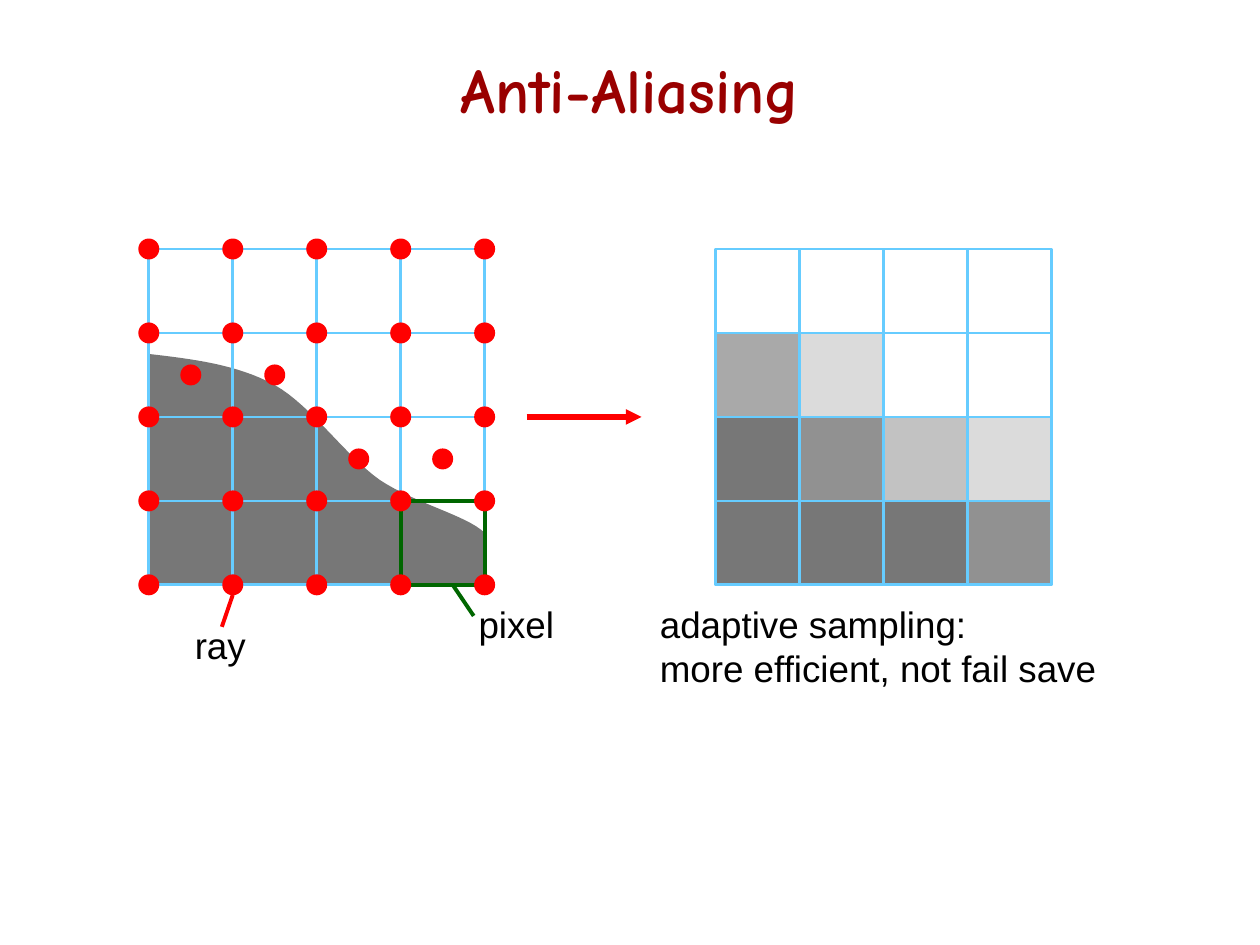
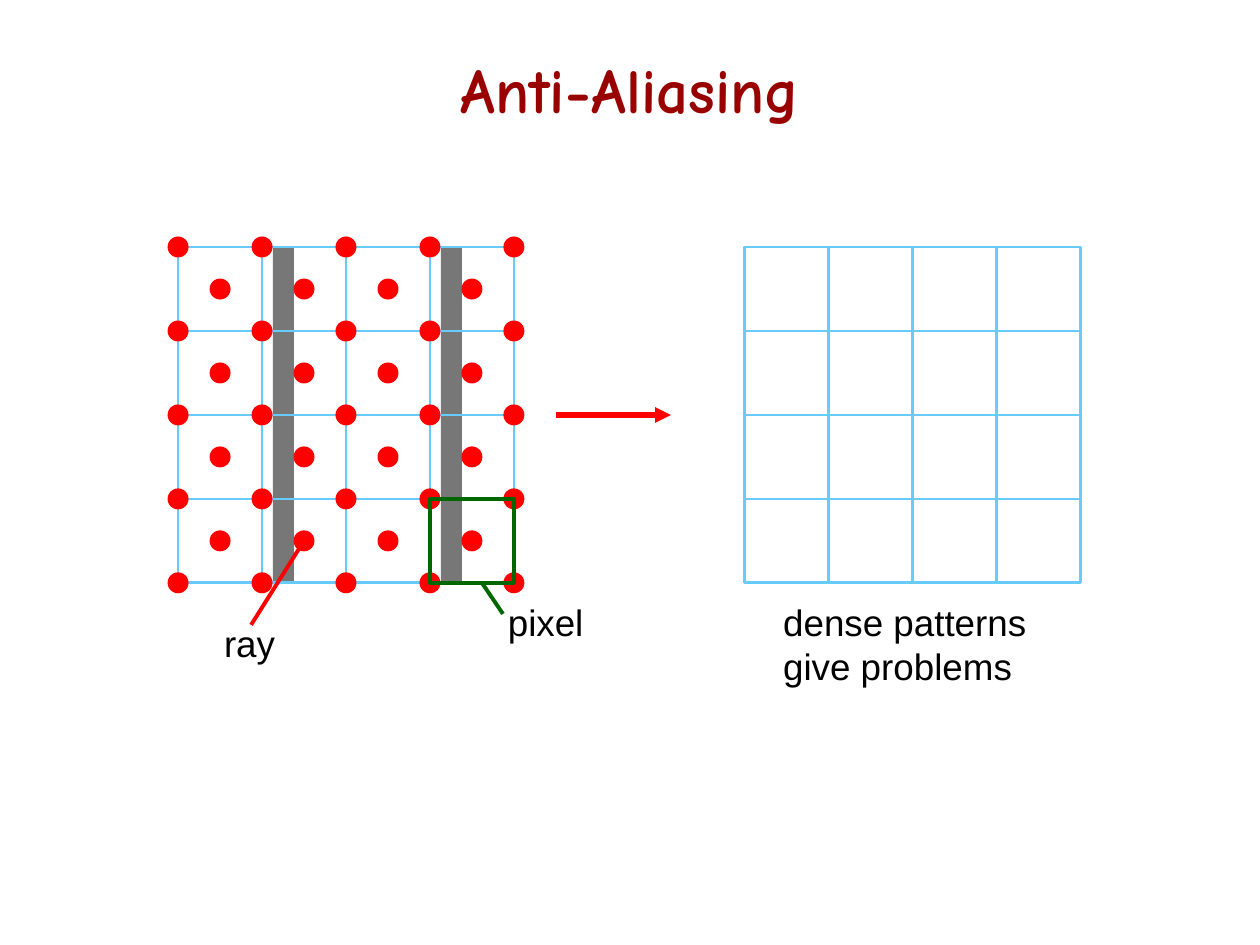
from itertools import product

from lxml.etree import SubElement
from pptx import Presentation
from pptx.dml.color import RGBColor
from pptx.enum.shapes import MSO_CONNECTOR as Connector, MSO_SHAPE as Preset
from pptx.enum.text import MSO_ANCHOR as Anchor, MSO_AUTO_SIZE as AutoSize, PP_ALIGN as Align
from pptx.oxml.ns import qn
from pptx.util import Cm, Pt

TITLE_RED = RGBColor(0x99, 0x00, 0x00)
RAY_RED = RGBColor(0xFF, 0x00, 0x00)
GRID_BLUE = RGBColor(0x66, 0xCC, 0xFF)
PIXEL_GREEN = RGBColor(0x00, 0x66, 0x00)
BLACK = RGBColor(0x00, 0x00, 0x00)
OBJECT_GRAY = RGBColor(0x77, 0x77, 0x77)
EDGE_GRAY = RGBColor(0x91, 0x91, 0x91)
MIDDLE_GRAY = RGBColor(0xA9, 0xA9, 0xA9)
LIGHT_GRAY = RGBColor(0xC2, 0xC2, 0xC2)
PALE_GRAY = RGBColor(0xDB, 0xDB, 0xDB)

TITLE_FONT = "Comic Neue"
BODY_FONT = "Arial"
CELLS = 4
CELL = 6.77 / CELLS
RESULT_COLUMN = 6.75
LABEL_ROW = 4.13
DOT = 0.25
GRID_LINE = 1.5
MARK_LINE = 2.25
ARROW_LINE = 3

GRID_CORNERS = list(product(range(CELLS + 1), repeat=2))
CELL_CENTRES = [(column + 0.5, row + 0.5) for column, row in product(range(CELLS), repeat=2)]
ADAPTIVE_SAMPLES = [(0.5, 1.5), (1.5, 1.5), (2.5, 2.5), (3.5, 2.5)]
OBJECT_CURVES = [
    [(0, 1.25), (0.51, 1.31), (1.04, 1.37), (1.5, 1.62)],
    [(1.5, 1.62), (1.95, 1.88), (2.33, 2.45), (2.75, 2.75)],
    [(2.75, 2.75), (3.17, 3.03), (3.78, 3.17), (4, 3.38)],
]
SHADED_CELLS = [
    (0, 3, 3, OBJECT_GRAY),
    (0, 2, 1, OBJECT_GRAY),
    (0, 1, 1, MIDDLE_GRAY),
    (1, 2, 1, EDGE_GRAY),
    (3, 3, 1, EDGE_GRAY),
    (3, 2, 1, PALE_GRAY),
    (2, 2, 1, LIGHT_GRAY),
    (1, 1, 1, PALE_GRAY),
]


def curve_points(controls, steps=16):
    weights = (1, 3, 3, 1)
    for step in range(1, steps + 1):
        t = step / steps
        factors = [w * t**i * (1 - t) ** (3 - i) for i, w in enumerate(weights)]
        yield tuple(sum(f * point[axis] for f, point in zip(factors, controls)) for axis in (0, 1))


class SamplingDeck:
    def __init__(self):
        self.presentation = Presentation()
        self.presentation.slide_width = Cm(25.4)
        self.presentation.slide_height = Cm(19.05)

    def start_slide(self, title, left, top):
        self.slide = self.presentation.slides.add_slide(self.presentation.slide_layouts[5])
        self.left, self.top = left, top
        shape = self.slide.shapes.title
        shape.left, shape.top, shape.width, shape.height = Cm(1.9), Cm(0.64), Cm(21.6), Cm(2.29)
        frame = shape.text_frame
        frame.text = title
        frame.auto_size = AutoSize.NONE
        frame.vertical_anchor = Anchor.MIDDLE
        frame.paragraphs[0].alignment = Align.CENTER
        self.style_font(frame.paragraphs[0], TITLE_FONT, 36, TITLE_RED, True)

    def style_font(self, paragraph, name, size, color, bold=False):
        for run in paragraph.runs:
            run.font.name, run.font.size, run.font.bold = name, Pt(size), bold
            run.font.color.rgb = color

    def position(self, column, row):
        return Cm(self.left + column * CELL), Cm(self.top + row * CELL)

    def paint(self, shape, fill=None, line=None, width=GRID_LINE):
        shape.shadow.inherit = False
        if fill is None:
            shape.fill.background()
        else:
            shape.fill.solid()
            shape.fill.fore_color.rgb = fill
        if line is None:
            shape.line.fill.background()
        else:
            shape.line.color.rgb = line
            shape.line.width = Pt(width)

    def box(self, column, row, columns, rows, preset=Preset.RECTANGLE, **style):
        size = Cm(columns * CELL), Cm(rows * CELL)
        shape = self.slide.shapes.add_shape(preset, *self.position(column, row), *size)
        self.paint(shape, **style)

    def line(self, start, end, color, width, arrow=False):
        connector = self.slide.shapes.add_connector(
            Connector.STRAIGHT, *self.position(*start), *self.position(*end))
        connector.line.color.rgb = color
        connector.line.width = Pt(width)
        if arrow:
            SubElement(connector.line._get_or_add_ln(), qn("a:tailEnd"), type="triangle")
        SubElement(connector._element.spPr, qn("a:effectLst"))

    def grid(self, column=0):
        self.box(column, 0, CELLS, CELLS, line=GRID_BLUE)
        for step in range(1, CELLS):
            self.line((column, step), (column + CELLS, step), GRID_BLUE, GRID_LINE)
            self.line((column + step, 0), (column + step, CELLS), GRID_BLUE, GRID_LINE)

    def dots(self, centres):
        for column, row in centres:
            self.box(column - DOT / 2, row - DOT / 2, DOT, DOT, Preset.OVAL, fill=RAY_RED)

    def curved_object(self):
        points = [point for curve in OBJECT_CURVES for point in curve_points(curve)]
        points += [(CELLS, CELLS), (0, CELLS)]
        builder = self.slide.shapes.build_freeform(*self.position(*OBJECT_CURVES[0][0]))
        builder.add_line_segments([self.position(*point) for point in points], close=True)
        self.paint(builder.convert_to_shape(), fill=OBJECT_GRAY)

    def label(self, column, row, width, *lines):
        height = 0.25 + 0.89 * len(lines)
        box = self.slide.shapes.add_textbox(*self.position(column, row), Cm(width), Cm(height))
        frame = box.text_frame
        frame.word_wrap = False
        frame.auto_size = AutoSize.SHAPE_TO_FIT_TEXT
        frame.text = "\n".join(lines)
        for paragraph in frame.paragraphs:
            self.style_font(paragraph, BODY_FONT, 21, BLACK)

    def pixel_frame(self):
        self.box(3, 3, 1, 1, line=PIXEL_GREEN, width=MARK_LINE)

    def annotations(self, ray_end):
        self.label(3.78, LABEL_ROW, 2.05, "pixel")
        self.label(0.4, 4.38, 1.6, "ray")
        self.line((3.62, 4), (3.87, 4.37), PIXEL_GREEN, MARK_LINE)
        self.line((0.87, 4.5), ray_end, RAY_RED, MARK_LINE)
        self.line((4.5, 2), (5.87, 2), RAY_RED, ARROW_LINE, arrow=True)


def build_adaptive_slide(deck):
    deck.start_slide("Anti-Aliasing", 3, 5.02)
    deck.curved_object()
    deck.grid()
    deck.dots(ADAPTIVE_SAMPLES)
    deck.pixel_frame()
    deck.annotations((1, 4.12))
    deck.dots(GRID_CORNERS)
    for column, row, columns, shade in SHADED_CELLS:
        deck.box(RESULT_COLUMN + column, row, columns, 1, fill=shade, line=GRID_BLUE)
    deck.grid(RESULT_COLUMN)
    deck.label(5.94, LABEL_ROW, 9.34, "adaptive sampling:", "more efficient, not fail save")


def build_dense_slide(deck):
    deck.start_slide("Anti-Aliasing", 3.59, 4.98)
    for column in (1.13, 3.13):
        deck.box(column, 0, 0.25, CELLS, fill=OBJECT_GRAY)
    deck.grid()
    deck.annotations((1.5, 3.5))
    deck.dots(GRID_CORNERS)
    deck.pixel_frame()
    deck.dots(CELL_CENTRES)
    deck.grid(RESULT_COLUMN)
    deck.label(7.06, LABEL_ROW, 5.63, "dense patterns", "give problems")


def main():
    deck = SamplingDeck()
    build_adaptive_slide(deck)
    build_dense_slide(deck)
    deck.presentation.save("out.pptx")


if __name__ == "__main__":
    main()
